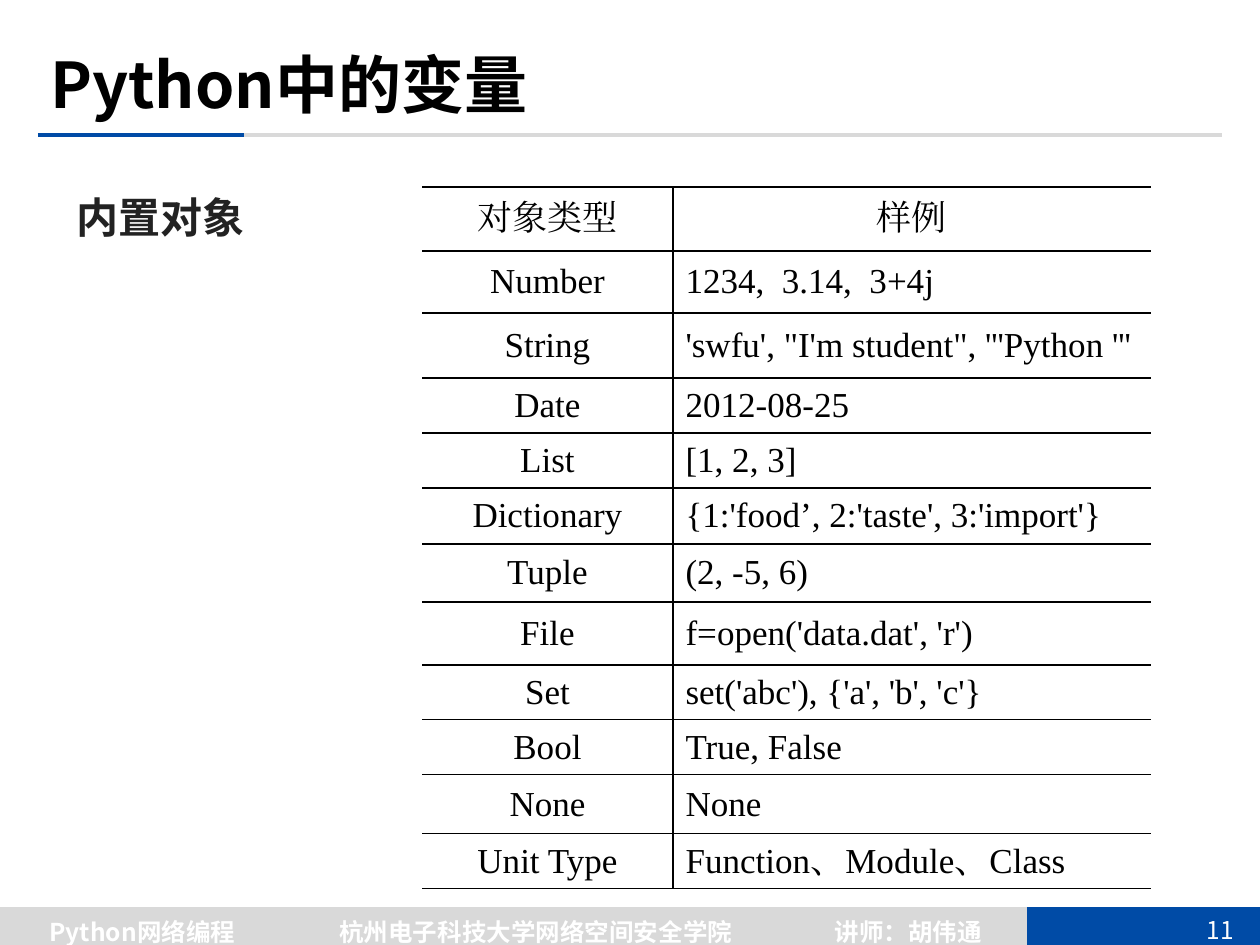
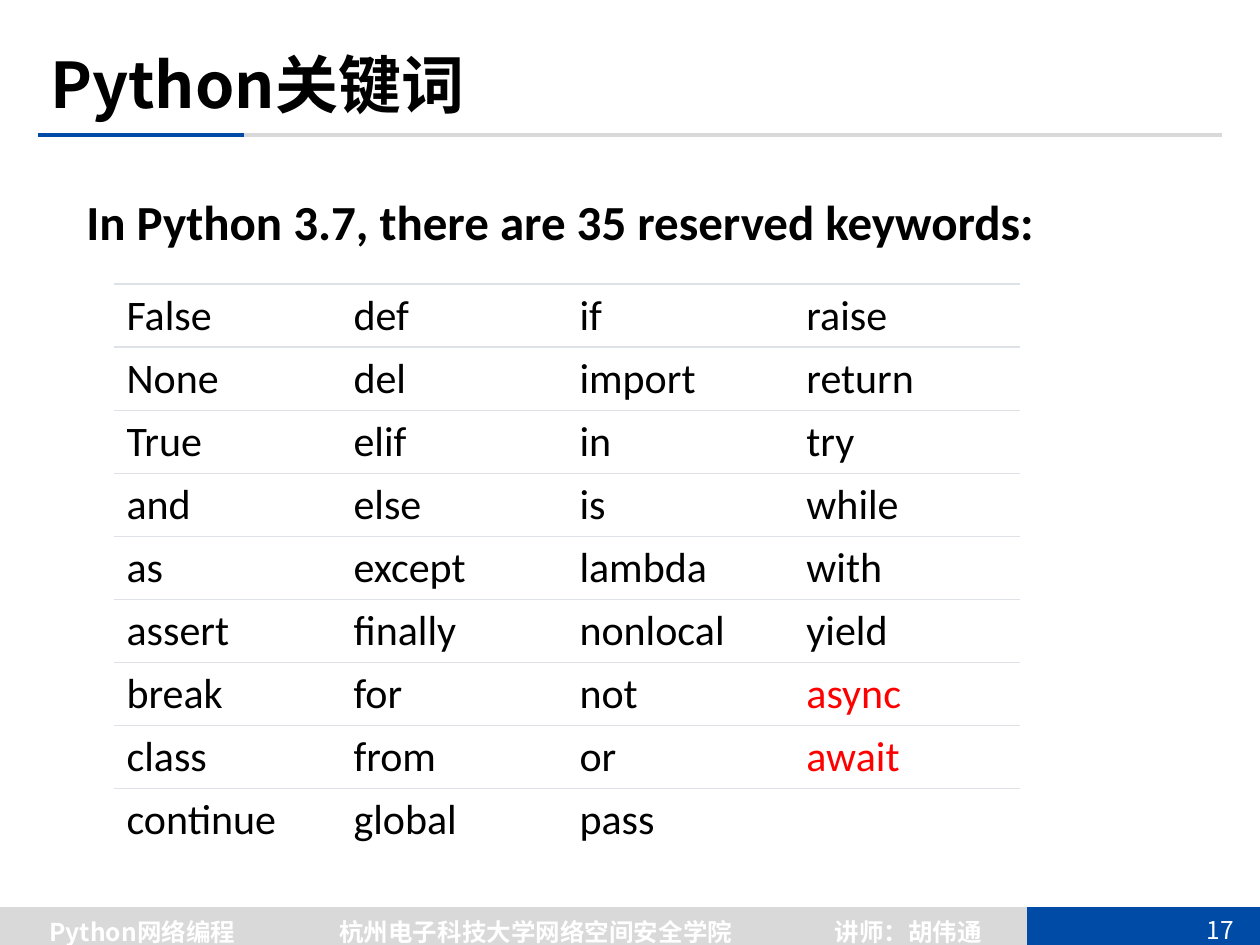
from pptx import Presentation
from pptx.dml.color import RGBColor
from pptx.enum.shapes import MSO_CONNECTOR as Wire
from pptx.enum.text import MSO_ANCHOR as Anchor, PP_ALIGN as Align
from pptx.oxml.ns import qn
from pptx.util import Inches, Pt
from lxml.etree import SubElement as Sub

PX = 7257  # EMU in one px, 126 px to the inch
hue = RGBColor.from_string
BLUE, GREY, PALE = "004BA6", "D9D9D9", "DEE2E6"
BLACK, WHITE, RED, DARK = "000000", "FFFFFF", "FF0000", "222222"
SANS, BODY, SERIF = "Noto Sans CJK SC", "Calibri", "Times New Roman"
PLAIN = "{2D5ABB26-0587-4C30-8999-92F81FD0307C}"  # no style, no grid


def write(frame, text, size=14, font=SANS, color=BLACK, bold=False,
          align=Align.LEFT, anchor=Anchor.TOP, wrap=True):
    frame.word_wrap = wrap
    frame.vertical_anchor = anchor
    para = frame.paragraphs[0]
    para.alignment = align
    run = para.add_run()
    run.text = text
    face = run.font
    face.size, face.bold, face.name = Pt(size), bold, font
    face.color.rgb = hue(color)
    Sub(run._r.get_or_add_rPr(), qn("a:ea"), typeface=font)


def box(slide, spot, text, **form):
    shape = slide.shapes.add_textbox(*[n * PX for n in spot])
    write(shape.text_frame, text, **form)


# Slide content
types = [
    ("对象类型", "样例"),
    ("Number", "1234,  3.14,  3+4j"),
    ("String", "'swfu', \"I'm student\", '''Python '''"),
    ("Date", "2012-08-25"),
    ("List", "[1, 2, 3]"),
    ("Dictionary", "{1:'food’, 2:'taste', 3:'import'}"),
    ("Tuple", "(2, -5, 6)"),
    ("File", "f=open('data.dat', 'r')"),
    ("Set", "set('abc'), {'a', 'b', 'c'}"),
    ("Bool", "True, False"),
    ("None", "None"),
    ("Unit Type", "Function、Module、Class"),
]
tall = [64, 62, 65, 55, 55, 56, 58, 63, 55, 55, 59, 55]
words = """False def if raise
None del import return
True elif in try
and else is while
as except lambda with
assert finally nonlocal yield
break for not async
class from or await
continue global pass"""
words = [line.split() for line in words.splitlines()]

# Title, page, table rows, corner, column widths, row heights
pages = [
    ("Python中的变量", "11", types, (422, 187), [251, 478], tall),
    ("Python关键词", "17", words, (114, 284), [227, 226, 227, 226], [63] * 9),
]
# Ends and height of each line, colour, weight in points
lines = [
    (0, 1255, 929, GREY, 25),
    (1027, 1260, 929, BLUE, 25),
    (38, 1222, 135, GREY, 2.25),
    (38, 244, 135, BLUE, 2.25),
]
foot = [
    (-5, 295, "Python网络编程"),
    (253, 566, "杭州电子科技大学网络空间安全学院"),
    (819, 179, "讲师：胡伟通"),
]

deck = Presentation()
deck.slide_width, deck.slide_height = Inches(10), Inches(7.5)
slides, grids = [], []

for title, page, rows, spot, wide, high in pages:
    slide = deck.slides.add_slide(deck.slide_layouts[6])
    slides.append(slide)

    # Bands and title rule
    for start, end, y, color, width in lines:
        line = slide.shapes.add_connector(
            Wire.STRAIGHT, start * PX, y * PX, end * PX, y * PX)
        line.line.color.rgb = hue(color)
        line.line.width = Pt(width)
        Sub(line._element.spPr, qn("a:effectLst"))

    # Footer and title
    for x, width, text in foot:
        box(slide, (x, 910, width, 43), text, color=WHITE, bold=True,
            align=Align.CENTER, anchor=Anchor.MIDDLE)
    box(slide, (1186, 908, 69, 43), page, color=WHITE,
        align=Align.CENTER, anchor=Anchor.MIDDLE)
    box(slide, (38, 35, 1159, 97), title, size=36, bold=True,
        anchor=Anchor.MIDDLE)

    # Bare table
    size = sum(wide), sum(high)
    grid = slide.shapes.add_table(
        len(rows), len(wide), *[n * PX for n in spot + size]).table
    grid.first_row = grid.horz_banding = False
    grid._tbl.tblPr.find(qn("a:tableStyleId")).text = PLAIN
    for col, width in zip(grid.columns, wide):
        col.width = width * PX
    for row, height in zip(grid.rows, high):
        row.height = height * PX
    grids.append(grid)

    # Cells: each has a line above; the type table adds a divider and a base
    for r, row in enumerate(rows):
        for c, text in enumerate(row):
            cell = grid.cell(r, c)
            if rows is types:
                sides = ("R" if c == 0 else "L") + "T"
                sides += "B" if r == len(rows) - 1 else ""
                ink, width = BLACK, 1
                mid = c == 0 or r == 0
                form = dict(size=20, font=SERIF, anchor=Anchor.MIDDLE,
                            align=Align.CENTER if mid else Align.JUSTIFY)
                cell.vertical_anchor = Anchor.MIDDLE
            else:
                sides, ink, width = "T", PALE, 0.75
                new = text in ("async", "await")
                form = dict(size=24, font=BODY, color=RED if new else BLACK)
            write(cell.text_frame, text, **form)
            for side in sides:
                edge = Sub(cell._tc.get_or_add_tcPr(), qn("a:ln" + side),
                           w=str(Pt(width)))
                fill = Sub(edge, qn("a:solidFill"))
                Sub(fill, qn("a:srgbClr"), val=ink)
            cell.fill.solid()
            cell.fill.fore_color.rgb = hue(WHITE)

# Lead text of each slide
box(slides[0], (64, 185, 992, 63), "内置对象", size=24, font=BODY,
    color=DARK, bold=True)
box(slides[1], (74, 185, 985, 72),
    "In Python 3.7, there are 35 reserved keywords:", size=28, font=BODY,
    bold=True, wrap=False)

deck.save("out.pptx")
